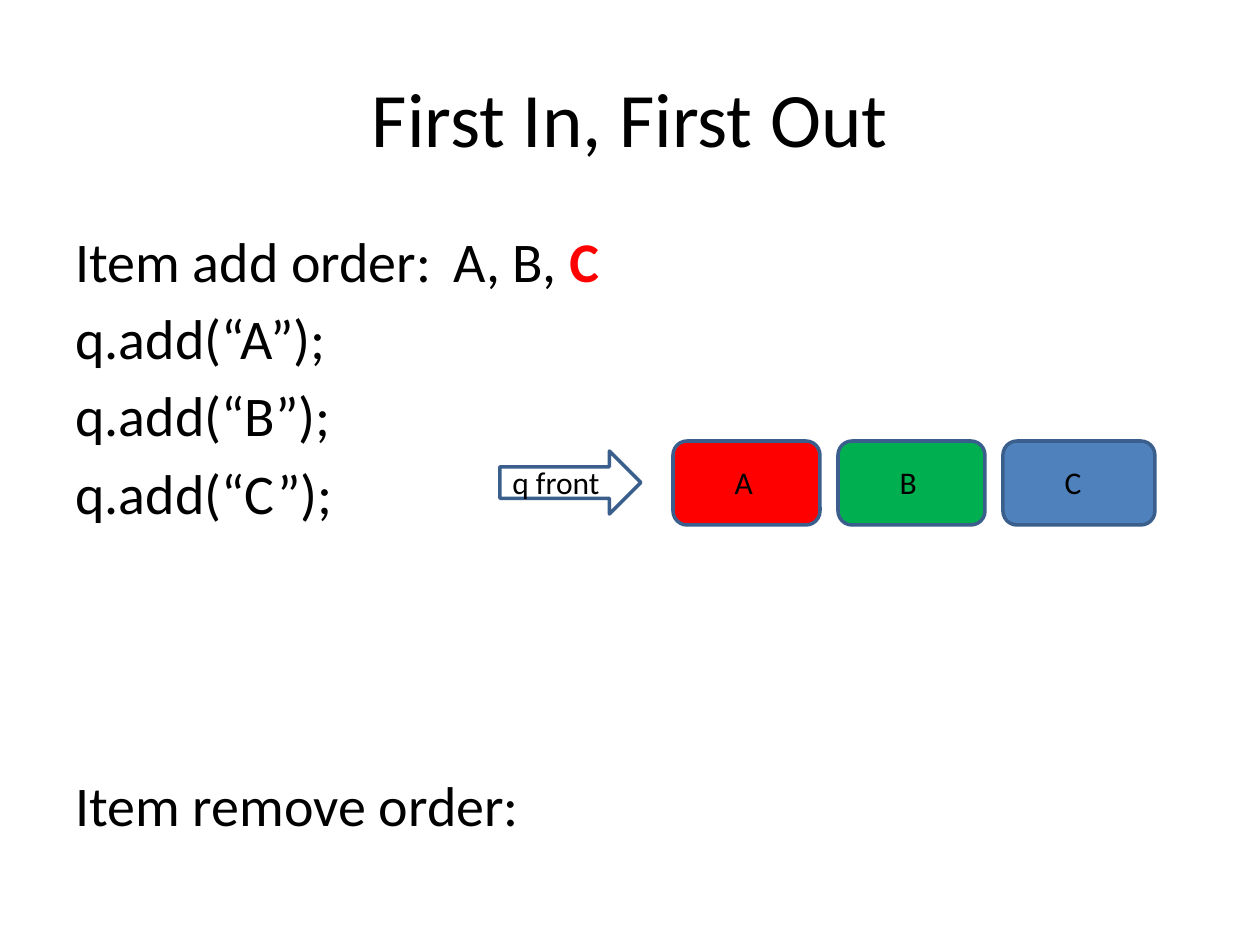
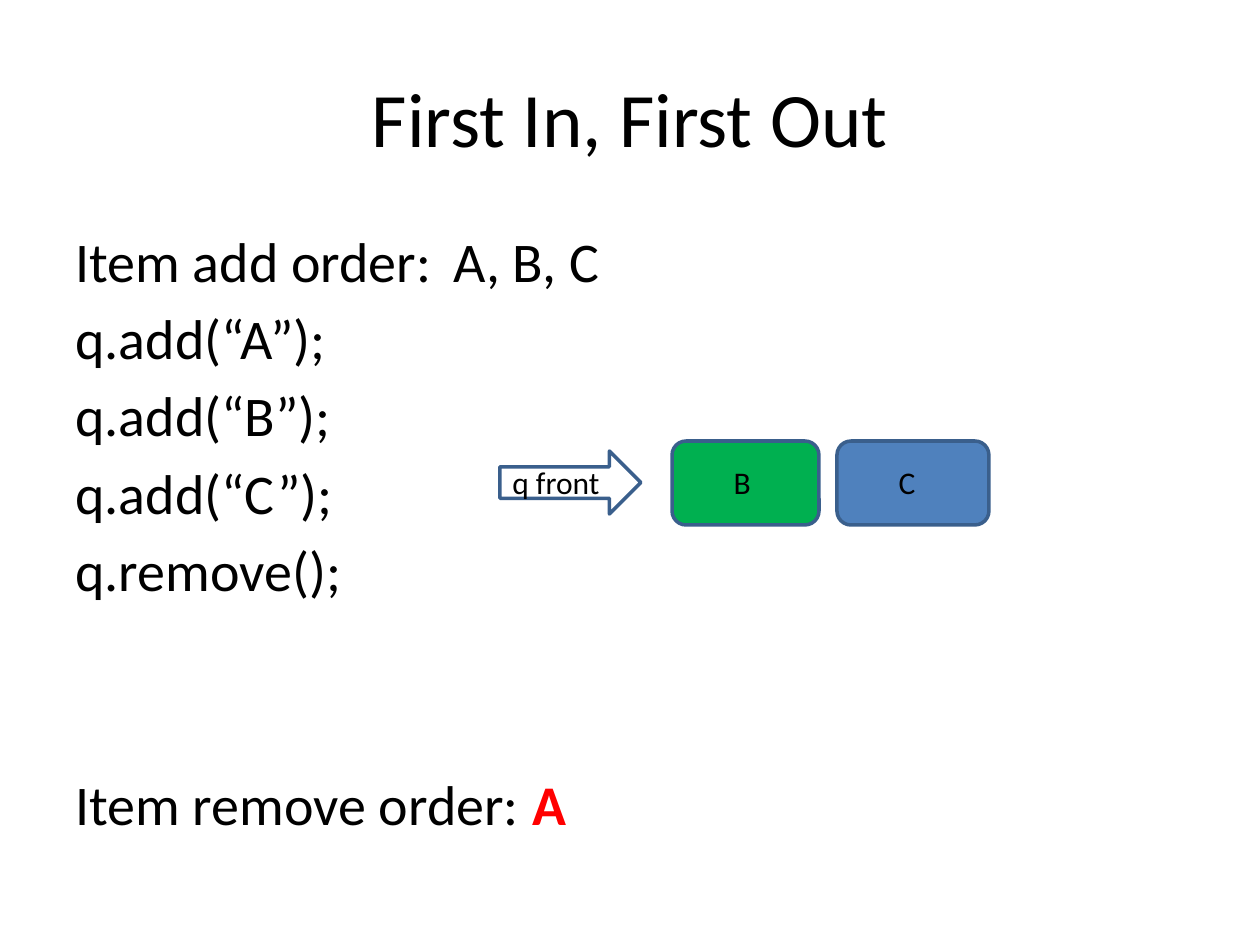
from pptx import Presentation
from pptx.dml.color import RGBColor
from pptx.enum.shapes import MSO_SHAPE
from pptx.enum.text import MSO_ANCHOR, PP_ALIGN
from pptx.util import Pt

EMU_PER_PX = 914400 / 126
FONT = "Calibri"
BLACK, RED, OUTLINE = "000000", "FF0000", "3A5F8C"
ITEM_FILLS = {"A": RED, "B": "00B050", "C": "4F81BD"}
ITEM_WIDTHS = {"A": 147, "B": 147, "C": 152}
ITEM_TOP, ITEM_HEIGHT, ITEM_PITCH = 441, 84, 165
LABEL_TOP, LABEL_HEIGHT = 457, 50
LINE_GAP, LINE_PITCH = 5.75, 44.8
REMOVE_ROW = 7


def px(length):
    return int(length * EMU_PER_PX)


def color(hex_code):
    return RGBColor.from_string(hex_code)


class Deck:
    def __init__(self):
        self.presentation = Presentation()
        self.presentation.slide_width = px(1260)
        self.presentation.slide_height = px(945)
        self.slide = None

    def new_slide(self):
        self.slide = self.presentation.slides.add_slide(self.presentation.slide_layouts[6])

    def style(self, run, size, hex_code=BLACK, bold=False):
        run.font.name = FONT
        run.font.size = Pt(size)
        run.font.bold = bold
        run.font.color.rgb = color(hex_code)

    def text(self, box, content, size, indent=0):
        frame = self.slide.shapes.add_textbox(*map(px, box)).text_frame
        frame.word_wrap = True
        frame.margin_left = px(12.6 + indent)
        frame.text = content
        for paragraph in frame.paragraphs:
            for run in paragraph.runs:
                self.style(run, size)
        return frame

    def title(self, content):
        frame = self.text((63, 38, 1134, 157), content, 44)
        frame.vertical_anchor = MSO_ANCHOR.MIDDLE
        frame.paragraphs[0].alignment = PP_ALIGN.CENTER

    def steps(self, lines, highlights):
        frame = self.text((63, 220, 1134, 624), "\n".join(lines), 32)
        for paragraph in frame.paragraphs[1:]:
            paragraph.space_before = Pt(LINE_GAP)
        skipped_rows = REMOVE_ROW + 1 - len(lines)
        frame.paragraphs[-1].space_before = Pt(LINE_GAP + skipped_rows * LINE_PITCH)
        for row, letter in highlights.items():
            run = frame.paragraphs[row].add_run()
            run.text = letter
            self.style(run, 32, RED, True)

    def shape(self, preset, box, fill=None):
        shape = self.slide.shapes.add_shape(preset, *map(px, box))
        shape.shadow.inherit = False
        if fill:
            shape.fill.solid()
            shape.fill.fore_color.rgb = color(fill)
        else:
            shape.fill.background()
        shape.line.color.rgb = color(OUTLINE)
        shape.line.width = Pt(2)
        return shape

    def front_pointer(self):
        self.shape(MSO_SHAPE.DOWN_ARROW, (539, 412, 63, 141)).rotation = 270
        self.text((500, LABEL_TOP, 126, LABEL_HEIGHT), "q front", 18)

    def queue(self, items, left):
        for position, item in enumerate(items):
            item_left = left + position * ITEM_PITCH
            self.shape(MSO_SHAPE.ROUNDED_RECTANGLE,
                       (item_left, ITEM_TOP, ITEM_WIDTHS[item], ITEM_HEIGHT), ITEM_FILLS[item])
            self.text((item_left + 13, LABEL_TOP, 125, LABEL_HEIGHT), item, 18, indent=36)


def main():
    deck = Deck()
    adds = [f"q.add(“{item}”);" for item in "ABC"]
    states = [
        (["Item add order:\tA, B, ", *adds, "Item remove order:"], {0: "C"}, "ABC", 673),
        (["Item add order:\tA, B, C", *adds, "q.remove();", "Item remove order: "],
         {-1: "A"}, "BC", 672),
    ]
    for lines, highlights, items, queue_left in states:
        deck.new_slide()
        deck.title("First In, First Out")
        deck.steps(lines, highlights)
        deck.front_pointer()
        deck.queue(items, queue_left)
    deck.presentation.save("out.pptx")


if __name__ == "__main__":
    main()
